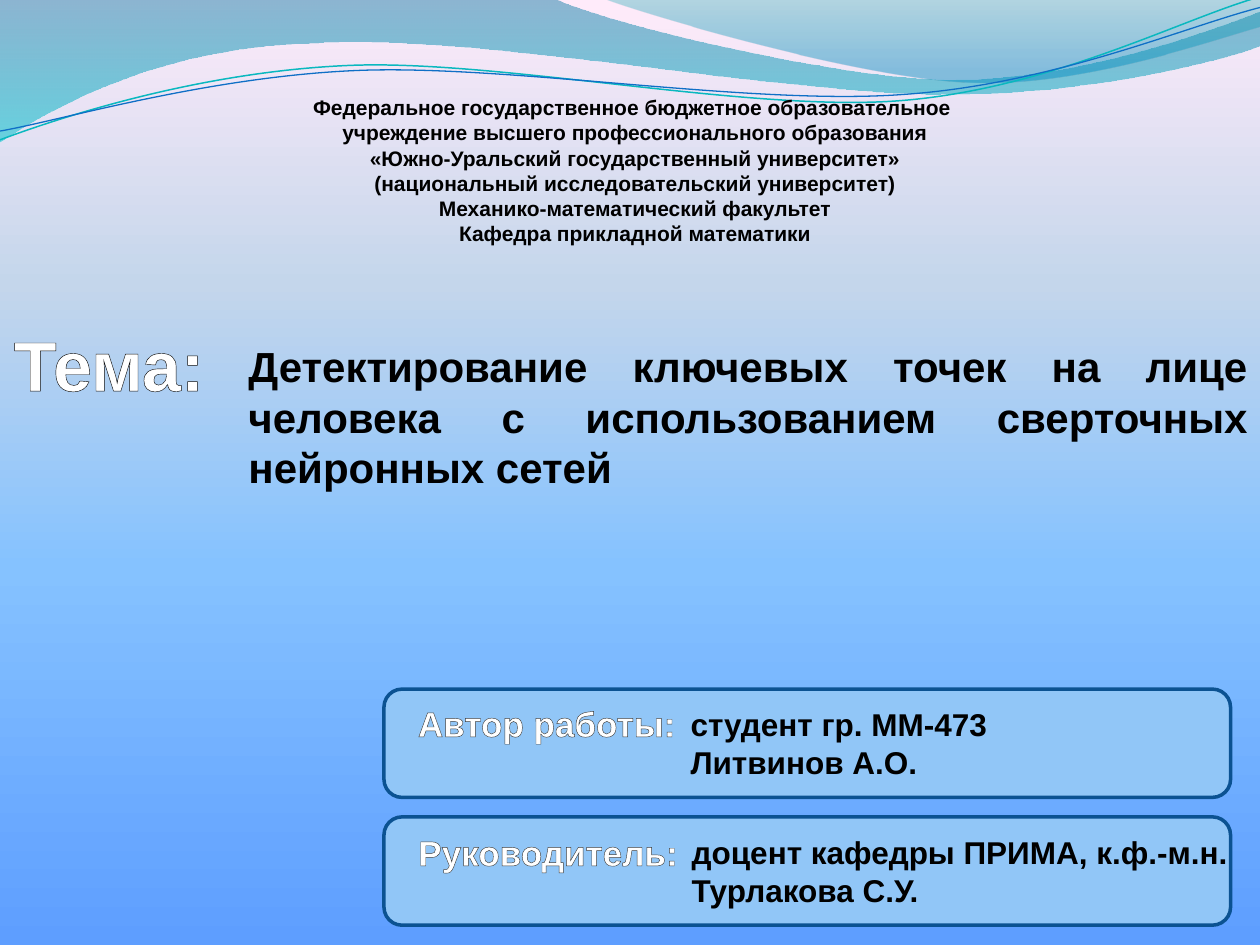
import math

from lxml import etree
from pptx import Presentation
from pptx import util as u
from pptx.dml.color import RGBColor
from pptx.enum import shapes, text
from pptx.oxml.ns import qn

COLORS = {
    "ink": "000000", "white": "FFFFFF", "card": "91C6F7", "card_edge": "0B5292",
    "topic_edge": "0D0D0D", "label_edge": "404040", "value_edge": "D5F9FF",
    "teal_line": "0AB8BF", "blue_line": "0F6FC6",
}

# Gradient stops: position %, colour, opacity %
SKY = [(0, "5E9EFF", 100), (40, "85C2FF", 100), (70, "C4D6EB", 100), (100, "FFEBFA", 100)]

# Waves in points: a 2-tuple is a line end, a 6-tuple is a Bézier curve
WAVES = [
    ([(0, "0074A1", 45), (100, "00C6CF", 55)],
     [(0, 0), (316.8, -0.7), (342.7, 12.2, 478.1, 45.4, 545.8, 45.4),
      (614.2, 45.4, 689.8, 18.7, 720, 6.5), (720.7, 25.9),
      (707.8, 31.7, 626.4, 54.7, 537.1, 54),
      (447.8, 54, 275, 20.2, 185, 24.5), (92.9, 25.9, 33.1, 59.8, -0.7, 81.4)]),
    ([(0, "00A1A9", 30), (80, "008BBF", 45)],
     [(344.9, -0.7), (366.5, 7.9, 491, 44.6, 553.7, 46.8),
      (616.3, 49.7, 691.9, 23, 720, 15.1), (720, 0)]),
]
# Colour, width, pivot of the tilt, path as it shows
CURVES = [
    ("teal_line", 0.85, (359.3, 41.4),
     [(0, 79.9), (34.6, 67, 113.8, 41, 199.4, 37.4),
      (284.4, 33.8, 427, 64.1, 513.4, 57.6), (599.8, 51.1, 675.4, 10.8, 718.6, -1.4)]),
    ("blue_line", 0.75, (359.6, 42.5),
     [(0, 74.9), (33.8, 69.1, 118.1, 43.9, 203.8, 40.3),
      (290.2, 36.7, 429.8, 60.5, 516.2, 54), (601.9, 48.2, 677.5, 15.1, 720, 4.3)]),
]
CURVE_TILT = -2.7

INSTITUTION = [
    "Федеральное государственное бюджетное образовательное \v"
    "учреждение высшего профессионального образования\v"
    "«Южно-Уральский государственный университет»\v"
    "(национальный исследовательский университет)",
    "Механико-математический факультет",
    "Кафедра прикладной математики",
]
TOPIC_LABEL = "Тема:"
TOPIC = ("Детектирование ключевых точек на лице человека "
         "с использованием сверточных нейронных сетей")

# Label, label offset from card top, label width, value, value left, value width
PEOPLE = [
    ("Автор работы:", 3.8, 162.7, ["студент гр. ММ-473", "Литвинов А.О."], 387.5, 185.8),
    ("Руководитель:", 4.5, 164.2,
     ["доцент кафедры ПРИМА, к.ф.-м.н.\vТурлакова С.У."], 388.2, 324),
]
CARD_LEFT, CARD_TOP, CARD_WIDTH, CARD_HEIGHT, CARD_PITCH = 219.4, 393.8, 483.8, 61.9, 73


def rgb(name):
    return RGBColor.from_string(COLORS[name])


def set_gradient(fill, element, stops, angle):
    """Replace the default gradient with the given stops and clockwise angle."""
    fill.gradient()
    gradient = element.find(".//" + qn("a:gradFill"))
    for child in list(gradient):
        gradient.remove(child)
    stop_list = etree.SubElement(gradient, qn("a:gsLst"))
    for position, color, opacity in stops:
        stop = etree.SubElement(stop_list, qn("a:gs"), pos=str(position * 1000))
        value = etree.SubElement(stop, qn("a:srgbClr"), val=color)
        if opacity < 100:
            etree.SubElement(value, qn("a:alpha"), val=str(opacity * 1000))
    etree.SubElement(gradient, qn("a:lin"), ang=str(angle * 60000), scaled="0")


def rotate(point, pivot, degrees):
    angle = math.radians(degrees)
    dx, dy = point[0] - pivot[0], point[1] - pivot[1]
    return (pivot[0] + dx * math.cos(angle) - dy * math.sin(angle),
            pivot[1] + dx * math.sin(angle) + dy * math.cos(angle))


def add_path(slide, path, close, pivot=(0, 0), tilt=0):
    """Build a freeform on the control points, then join them into curves."""
    points = [rotate(pair, pivot, -tilt)
              for segment in path for pair in zip(segment[::2], segment[1::2])]
    points = [(u.Pt(x), u.Pt(y)) for x, y in points]
    builder = slide.shapes.build_freeform(*points[0], scale=1.0)
    builder.add_line_segments(points[1:], close=close)
    shape = builder.convert_to_shape()
    shape.rotation = tilt
    shape.shadow.inherit = False
    lines = iter(shape.element.findall(".//" + qn("a:lnTo")))
    for segment in path[1:]:
        first = next(lines)
        if len(segment) == 6:
            curve = etree.Element(qn("a:cubicBezTo"))
            first.addprevious(curve)
            for line in (first, next(lines), next(lines)):
                curve.append(line[0])
                line.getparent().remove(line)
    return shape


def write(shape, box, paragraphs, size, color="ink", align=text.PP_ALIGN.LEFT,
          wrap=False, outline=None):
    """Place a text shape and fill it with bold Arial paragraphs."""
    shape.left, shape.top, shape.width, shape.height = map(u.Pt, box)
    frame = shape.text_frame
    frame.text = "\n".join(paragraphs)
    frame.word_wrap = wrap
    frame.auto_size = text.MSO_AUTO_SIZE.SHAPE_TO_FIT_TEXT
    frame.vertical_anchor = text.MSO_ANCHOR.TOP
    for paragraph in frame.paragraphs:
        paragraph.alignment = align
        for run in paragraph.runs:
            font = run.font
            font.name, font.size, font.bold = "Arial", u.Pt(size), True
            font.color.rgb = rgb(color)
            if outline:
                edge, width = outline
                line = etree.Element(qn("a:ln"), w=str(u.Pt(width)))
                fill = etree.SubElement(line, qn("a:solidFill"))
                etree.SubElement(fill, qn("a:srgbClr"), val=COLORS[edge])
                run.font._element.insert(0, line)


def add_text(slide, box, *args, **options):
    write(slide.shapes.add_textbox(*map(u.Pt, box)), box, *args, **options)


def main():
    presentation = Presentation()
    presentation.slide_width, presentation.slide_height = u.Pt(720), u.Pt(540)
    slide = presentation.slides.add_slide(presentation.slide_layouts[5])
    center = text.PP_ALIGN.CENTER

    # Background and decorative waves
    set_gradient(slide.background.fill, slide.element, SKY, 270)
    for stops, path in WAVES:
        wave = add_path(slide, path, close=True)
        set_gradient(wave.fill, wave.element, stops, 90)
        wave.line.fill.background()
    for color, width, pivot, path in CURVES:
        curve = add_path(slide, path, False, pivot, CURVE_TILT)
        curve.fill.background()
        curve.line.color.rgb = rgb(color)
        curve.line.width = u.Pt(width)

    # Institution and topic
    add_text(slide, (22.7, 50.6, 680.4, 94.3), INSTITUTION, 12, align=center, wrap=True)
    write(slide.shapes.title, (134.8, 191.2, 585.4, 94.3), [TOPIC], 24,
          align=text.PP_ALIGN.JUSTIFY, wrap=True)
    add_text(slide, (0, 180, 124.6, 55.4), [TOPIC_LABEL], 40, "white", center,
             outline=("topic_edge", 1))

    # Author and supervisor cards
    for index, (label, offset, label_width, value, left, width) in enumerate(PEOPLE):
        top = CARD_TOP + index * CARD_PITCH
        card = slide.shapes.add_shape(
            shapes.MSO_SHAPE.ROUNDED_RECTANGLE,
            *map(u.Pt, (CARD_LEFT, top, CARD_WIDTH, CARD_HEIGHT)))
        card.shadow.inherit = False
        card.fill.solid()
        card.fill.fore_color.rgb = rgb("card")
        card.line.color.rgb = rgb("card_edge")
        card.line.width = u.Pt(2)
        add_text(slide, (231.1, top + offset, label_width, 31.7), [label], 20, "white",
                 center, outline=("label_edge", 0.75))
        add_text(slide, (left, top + 5.6, width, 51.1), value, 18,
                 outline=("value_edge", 0.25))

    presentation.save("out.pptx")


if __name__ == "__main__":
    main()
